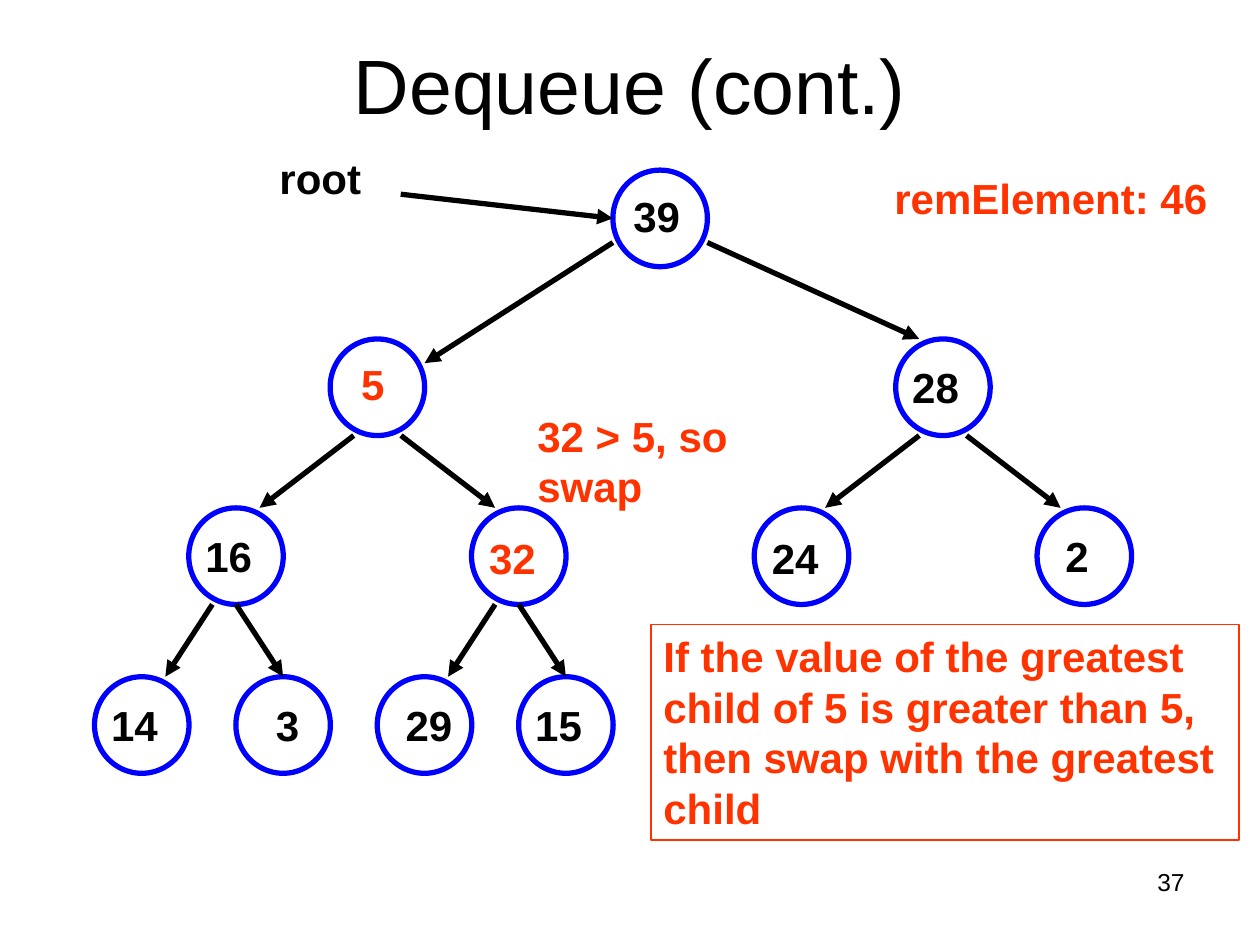
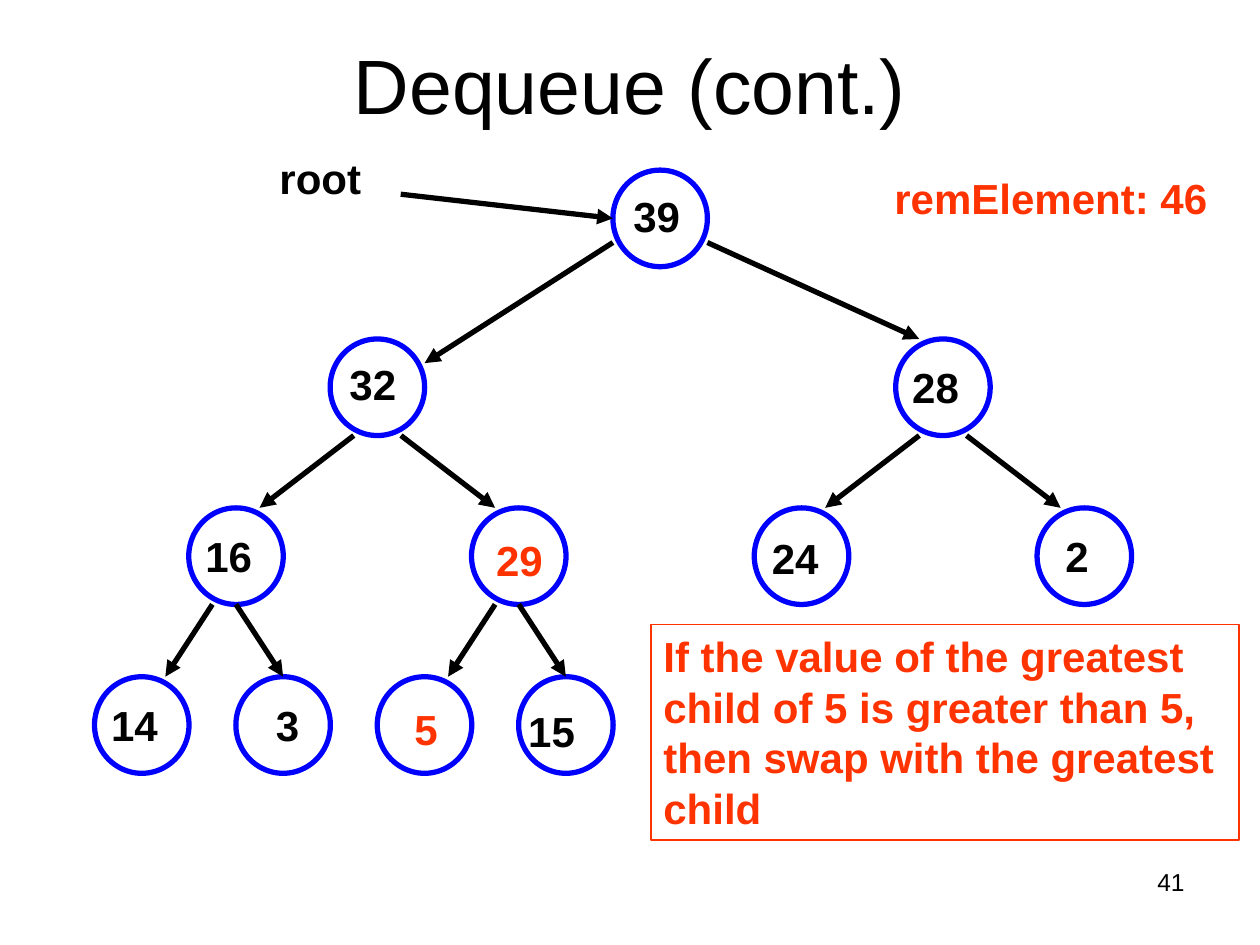
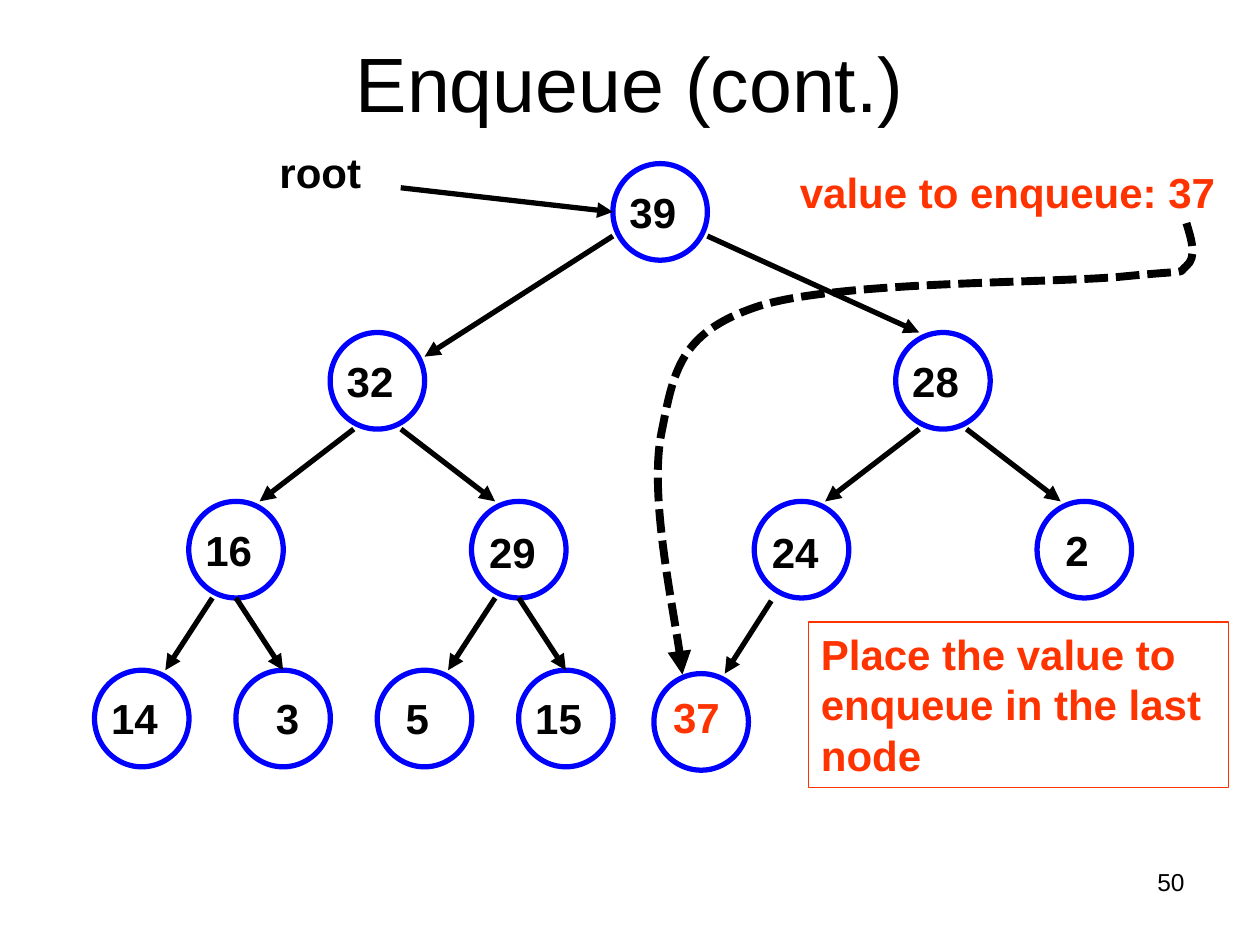
"""Build three slides that walk through heap dequeue and enqueue steps."""
from lxml.etree import SubElement
from pptx import Presentation
from pptx.dml.color import RGBColor
from pptx.enum.dml import MSO_LINE
from pptx.enum.shapes import MSO_CONNECTOR, MSO_SHAPE
from pptx.enum.text import MSO_ANCHOR, PP_ALIGN
from pptx.oxml.ns import qn
from pptx.util import Pt

COLOURS = {"ink": "000000", "accent": "FF3300", "ring": "0000FF", "paper": "FFFFFF"}
FONT = "Arial"
NODE_WIDTH, NODE_HEIGHT = 54, 55.2
TREE_LEFT, COLUMN_STEP, ROW_STEP = 54, 26.93, 96.5
SPACE_WIDTH = 6.67

NODES = {
    "root": (11, 0),
    "left": (5, 1), "right": (17, 1),
    "left-left": (2, 2), "left-right": (8, 2), "right-left": (14, 2), "right-right": (20, 2),
    "leaf 1": (0, 3), "leaf 2": (3, 3), "leaf 3": (6, 3), "leaf 4": (9, 3),
}
NEW_NODE = {"leaf 5": (11.87, 3.02)}

TO_LEFT = ((0.25, 1), (0.75, 0))
TO_RIGHT = ((0.75, 1), (0.25, 0))
TO_RIGHT_LEAF = ((0.5, 1), (0.5, 0))
EDGES = [
    ("root", "left", ((0, 0.75), (1, 0.25))),
    ("root", "right", ((1, 0.75), (0.25, 0))),
    ("left", "left-left", TO_LEFT),
    ("left", "left-right", TO_RIGHT),
    ("right", "right-left", TO_LEFT),
    ("right", "right-right", TO_RIGHT),
    ("left-left", "leaf 1", TO_LEFT),
    ("left-left", "leaf 2", TO_RIGHT_LEAF),
    ("left-right", "leaf 3", TO_LEFT),
    ("left-right", "leaf 4", TO_RIGHT_LEAF),
]
NEW_EDGE = [("right-left", "leaf 5", ((0.18, 1.03), (0.75, 0)))]

USUAL = (-4.4, 9.4)
LOWER = (-3.8, 10.8)
RAISED = (-2.8, 7.4)
SHARED_VALUES = {
    "root": ("39", 1, "ink", (-2.2, 8)),
    "right": ("28", 1, "ink", USUAL),
    "left-left": ("16", 1, "ink", USUAL),
    "right-left": ("24", 1, "ink", LOWER),
    "right-right": ("2", 2, "ink", USUAL),
    "leaf 1": ("14", 1, "ink", USUAL),
    "leaf 2": ("3", 3, "ink", USUAL),
    "leaf 4": ("15", 1, "ink", USUAL),
}
SWAP_RULE = ("If the value of the greatest child of 5 is greater than 5, "
             "then swap with the greatest child")
SWAP_BOX = (372, 357, 336, 123)
REMOVED = ("remElement: 46", (504, 95, 204, 36))

SLIDES = [
    {
        "title": "Dequeue (cont.)", "title_top": 3, "number": "37", "tree_top": 97.2,
        "values": {
            "left": ("5", 2, "accent", RAISED),
            "left-right": ("32", 1, "accent", LOWER),
            "leaf 3": ("29", 2, "ink", USUAL),
        },
        "notes": [REMOVED, ("32 > 5, so swap", (300, 231, 132, 65))],
        "callout": (SWAP_RULE, SWAP_BOX),
    },
    {
        "title": "Dequeue (cont.)", "title_top": 3, "number": "41", "tree_top": 97.2,
        "values": {
            "left": ("32", 1, "ink", RAISED),
            "left-right": ("29", 2, "accent", (-6.5, 11.8)),
            "leaf 3": ("5", 2, "accent", (0.6, 11.6)),
            "leaf 4": ("15", 1, "ink", (-8.4, 13)),
        },
        "notes": [REMOVED],
        "callout": (SWAP_RULE, SWAP_BOX),
    },
    {
        "title": "Enqueue (cont.)", "title_top": 1.5, "number": "50", "tree_top": 93.5,
        "values": {
            "root": ("39", 1, "ink", USUAL),
            "left": ("32", 1, "ink", USUAL),
            "left-right": ("29", 1, "ink", LOWER),
            "leaf 3": ("5", 2, "ink", USUAL),
            "leaf 5": ("37", 1, "accent", (-2.9, 6.5)),
        },
        "notes": [("value to enqueue: 37", (450, 91.5, 258, 36))],
        "callout": ("Place the value to enqueue in the last node", (462, 355.5, 240, 94.5)),
        "new_nodes": NEW_NODE,
        "new_edges": NEW_EDGE,
        "curve": [
            (678, 127.5),
            (681, 137.5), (684, 147), (678, 152),
            (672, 157), (683, 154), (642, 158),
            (601, 162), (476, 160.5), (432, 175.5),
            (388, 190.5), (385, 212.5), (378, 247.5),
            (371, 282.5), (388, 363), (390, 385.5),
        ],
    },
]


def colour(name):
    return RGBColor.from_string(COLOURS[name])


def style_line(line, name, width):
    line.color.rgb = colour(name)
    line.width = Pt(width)


def add_arrowhead(shape):
    outline = shape.element.spPr.find(qn("a:ln"))
    SubElement(outline, qn("a:tailEnd"), type="triangle")


def write(frame, text, size=24, name="accent", bold=True, align=PP_ALIGN.LEFT,
          anchor=MSO_ANCHOR.TOP):
    frame.word_wrap = True
    frame.vertical_anchor = anchor
    para = frame.paragraphs[0]
    para.alignment = align
    span = para.add_run()
    span.text = text
    span.font.name = FONT
    span.font.size = Pt(size)
    span.font.bold = bold
    span.font.color.rgb = colour(name)


def add_text(page, bounds, text, **style):
    box = page.shapes.add_textbox(*map(Pt, bounds))
    write(box.text_frame, text, **style)
    return box


def add_arrow(page, start, end):
    arrow = page.shapes.add_connector(MSO_CONNECTOR.STRAIGHT, *map(Pt, (*start, *end)))
    style_line(arrow.line, "ink", 3)
    add_arrowhead(arrow)
    SubElement(arrow.element.spPr, qn("a:effectLst"))


def add_curve(page, points):
    start, *controls = [(Pt(x), Pt(y)) for x, y in points]
    builder = page.shapes.build_freeform(*start)
    builder.add_line_segments(controls, close=False)
    curve = builder.convert_to_shape()
    curve.shadow.inherit = False
    curve.fill.background()
    outline = curve.element.find(".//" + qn("a:path"))
    segments = outline.findall(qn("a:lnTo"))
    for first in range(0, len(segments), 3):
        bezier = SubElement(outline, qn("a:cubicBezTo"))
        for segment in segments[first:first + 3]:
            bezier.append(segment[0])
            outline.remove(segment)
    style_line(curve.line, "ink", 4.5)
    curve.line.dash_style = MSO_LINE.SQUARE_DOT
    add_arrowhead(curve)


def add_tree(page, content):
    top = content["tree_top"]
    places = {
        name: (TREE_LEFT + column * COLUMN_STEP, top + row * ROW_STEP)
        for name, (column, row) in {**NODES, **content.get("new_nodes", {})}.items()
    }

    def anchor(name, share):
        x, y = places[name]
        return x + share[0] * NODE_WIDTH, y + share[1] * NODE_HEIGHT

    for x, y in places.values():
        node = page.shapes.add_shape(
            MSO_SHAPE.OVAL, *map(Pt, (x, y, NODE_WIDTH, NODE_HEIGHT)))
        node.shadow.inherit = False
        node.fill.solid()
        node.fill.fore_color.rgb = colour("paper")
        style_line(node.line, "ring", 3)

    for parent, child, (start, end) in EDGES + content.get("new_edges", []):
        add_arrow(page, anchor(parent, start), anchor(child, end))
    add_arrow(page, (229, top + 13.8), anchor("root", (0, 0.5)))
    add_text(page, (152.6, top - 13.6, 90, 41), "root", name="ink")

    if "curve" in content:
        add_curve(page, content["curve"])

    for name, (text, indent, ink, (dx, dy)) in {**SHARED_VALUES, **content["values"]}.items():
        x, y = places[name]
        label = add_text(page, (x + dx, y + dy, 67.5, 55), text, name=ink)
        label.text_frame.margin_left = Pt(7.2 + indent * SPACE_WIDTH)


def add_callout(page, text, bounds):
    callout = page.shapes.add_shape(MSO_SHAPE.RECTANGLE, *map(Pt, bounds))
    callout.shadow.inherit = False
    callout.fill.background()
    style_line(callout.line, "accent", 0.75)
    write(callout.text_frame, text)


def main():
    deck = Presentation()
    deck.slide_width, deck.slide_height = Pt(720), Pt(540)
    for content in SLIDES:
        page = deck.slides.add_slide(deck.slide_layouts[6])
        add_text(page, (516, 492, 168, 37.5), content["number"], size=14, name="ink",
                 bold=False, align=PP_ALIGN.RIGHT)
        add_text(page, (36, content["title_top"], 648, 90), content["title"], size=44,
                 name="ink", bold=False, align=PP_ALIGN.CENTER, anchor=MSO_ANCHOR.MIDDLE)
        add_tree(page, content)
        for text, bounds in content["notes"]:
            add_text(page, bounds, text)
        add_callout(page, *content["callout"])
    deck.save("out.pptx")


if __name__ == "__main__":
    main()
